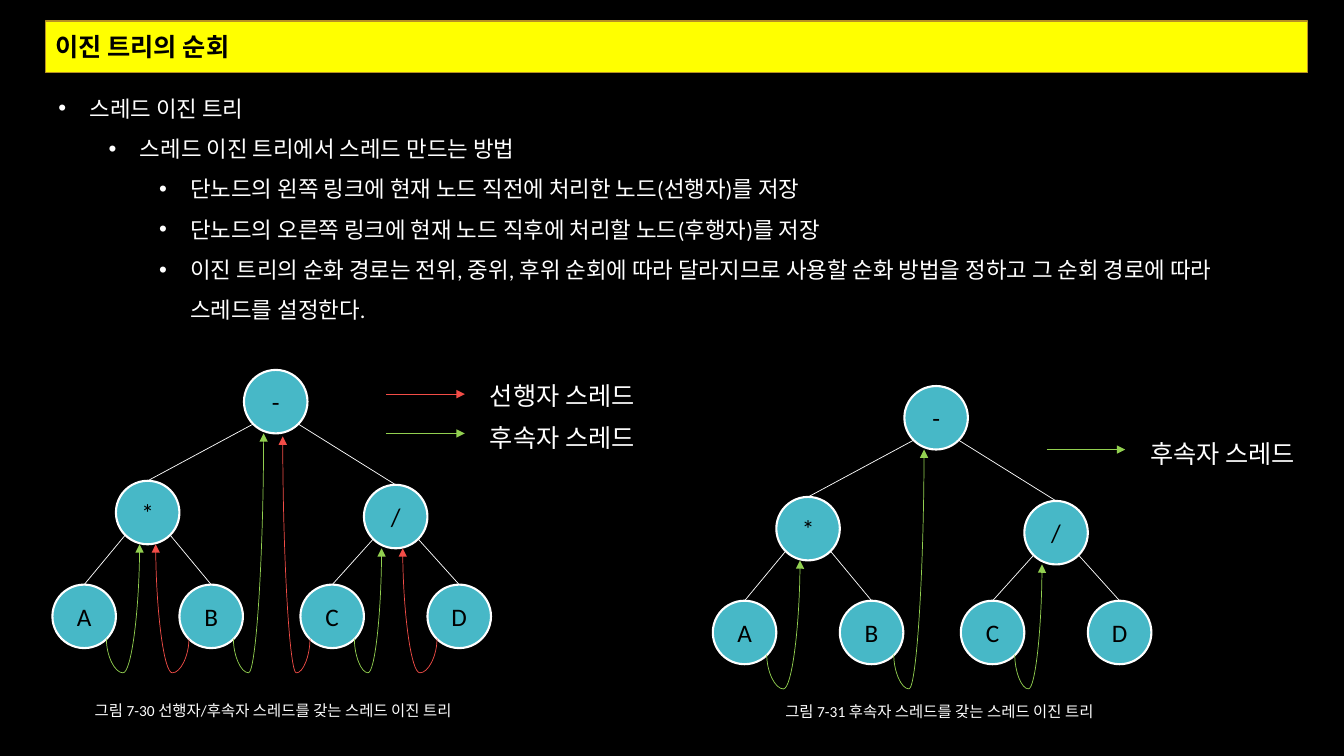
from lxml.etree import SubElement
from pptx import Presentation
from pptx.dml.color import RGBColor
from pptx.enum.shapes import MSO_CONNECTOR, MSO_SHAPE
from pptx.enum.text import MSO_ANCHOR, MSO_AUTO_SIZE, PP_ALIGN
from pptx.oxml.ns import qn
from pptx.util import Inches, Pt

BLACK, WHITE, YELLOW, GOLD = "000000", "FFFFFF", "FFFF00", "B79024"
TEAL, GREEN, RED = "47B8C7", "92D050", "F34D47"
FONT = "Calibri"

NODE = 0.63            # node diameter
DIAGONAL = 0.22        # centre to the 45 degree point of a node
THREAD_DIP = 0.34      # how far a thread swings below its leaf

# Node places relative to the tree's own corner
NODES = {
    "-": (1.9, 0), "*": (0.63, 1.1), "/": (3.09, 1.14),
    "A": (0, 2.13), "B": (1.26, 2.13), "C": (2.46, 2.13), "D": (3.72, 2.13),
}
# Parent, left child, right child
FAMILIES = [("-", "*", "/"), ("*", "A", "B"), ("/", "C", "D")]

# Leaf, ancestor, shift of the arrowhead from the ancestor's centre, gap below it
SUCCESSORS = [("A", "*", -0.08, 0), ("B", "-", -0.12, 0), ("C", "/", -0.14, 0)]
PREDECESSORS = [("B", "*", 0.08, 0), ("C", "-", 0.07, 0.03), ("D", "/", 0.07, 0)]

TITLE = "이진 트리의 순회"
OUTLINE = [
    (0, "스레드 이진 트리"),
    (1, "스레드 이진 트리에서 스레드 만드는 방법"),
    (2, "단노드의 왼쪽 링크에 현재 노드 직전에 처리한 노드(선행자)를 저장"),
    (2, "단노드의 오른쪽 링크에 현재 노드 직후에 처리할 노드(후행자)를 저장"),
    (2, "이진 트리의 순화 경로는 전위, 중위, 후위 순회에 따라 달라지므로 "
        "사용할 순화 방법을 정하고 그 순회 경로에 따라 스레드를 설정한다."),
]


def color(value):
    return RGBColor.from_string(value)


def write(para, text, size=18, ink=WHITE, bold=False, align=PP_ALIGN.LEFT):
    para.alignment = align
    span = para.add_run()
    span.text = text
    span.font.name = FONT
    span.font.size = Pt(size)
    span.font.bold = bold
    span.font.color.rgb = color(ink)


def paint(shape, fill, line, width=1):
    shape.fill.solid()
    shape.fill.fore_color.rgb = color(fill)
    shape.line.color.rgb = color(line)
    shape.line.width = Pt(width)


def add_block(page, kind, box, fill, line, width=1):
    shape = page.shapes.add_shape(kind, *map(Inches, box))
    shape.shadow.inherit = False
    paint(shape, fill, line, width)
    return shape


def add_label(page, text, box, size=18):
    label = page.shapes.add_textbox(*map(Inches, box))
    label.text_frame.word_wrap = True
    label.text_frame.auto_size = MSO_AUTO_SIZE.SHAPE_TO_FIT_TEXT
    write(label.text_frame.paragraphs[0], text, size=size)


def add_line(page, start, end, ink=WHITE, arrow=False, kind=MSO_CONNECTOR.STRAIGHT):
    line = page.shapes.add_connector(kind, *map(Inches, (*start, *end)))
    line.line.color.rgb = color(ink)
    line.line.width = Pt(0.5)
    properties = line._element.spPr
    if arrow:
        SubElement(properties.find(qn("a:ln")), qn("a:tailEnd"), type="triangle")
    SubElement(properties, qn("a:effectLst"))
    return line


def add_thread(page, start, end, ink):
    """Curve that dips below its start and rises to its end: a connector turned 90 degrees."""
    (x1, y1), (x2, y2) = start, end
    middle_x, middle_y = (x1 + x2) / 2, (y1 + y2) / 2
    rise, run = y1 - y2, x2 - x1
    thread = add_line(page, (middle_x + rise / 2, middle_y + run / 2),
                      (middle_x - rise / 2, middle_y - run / 2),
                      ink, arrow=True, kind=MSO_CONNECTOR.CURVE)
    properties = thread._element.spPr
    properties.find(qn("a:xfrm")).set("rot", "5400000")
    geometry = properties.find(qn("a:prstGeom"))
    guides = geometry.find(qn("a:avLst"))
    if guides is None:
        guides = SubElement(geometry, qn("a:avLst"))
    bend = round(-THREAD_DIP / rise * 100000)
    SubElement(guides, qn("a:gd"), name="adj1", fmla=f"val {bend}")


def add_title(page, box):
    title = page.shapes.title
    title.left, title.top, title.width, title.height = map(Inches, box)
    geometry = SubElement(title._element.spPr, qn("a:prstGeom"), prst="roundRect")
    SubElement(geometry, qn("a:avLst"))
    paint(title, YELLOW, GOLD)
    title.text_frame.vertical_anchor = MSO_ANCHOR.MIDDLE
    write(title.text_frame.paragraphs[0], TITLE, ink=BLACK, bold=True)


def add_outline(page, box):
    frame = add_block(page, MSO_SHAPE.RECTANGLE, box, BLACK, BLACK).text_frame
    frame.word_wrap = True
    frame.vertical_anchor = MSO_ANCHOR.TOP
    for index, (level, text) in enumerate(OUTLINE):
        para = frame.add_paragraph() if index else frame.paragraphs[0]
        para.level = level
        para.line_spacing = 1.5
        properties = para._p.get_or_add_pPr()
        properties.set("marL", str(Inches(0.31 + 0.5 * level)))
        properties.set("indent", str(Inches(-0.31)))
        SubElement(properties, qn("a:buFont"), typeface="Arial")
        SubElement(properties, qn("a:buChar"), char="•")
        write(para, text, size=16)


def add_tree(page, left, top, threads):
    """Tree with its threads and legend; threads holds (colour, links, legend text, legend row)."""
    centres = {name: (left + x + NODE / 2, top + y + NODE / 2)
               for name, (x, y) in NODES.items()}

    # Nodes
    for name, (x, y) in NODES.items():
        node = add_block(page, MSO_SHAPE.OVAL, (left + x, top + y, NODE, NODE),
                         TEAL, WHITE, 1.5)
        node.text_frame.vertical_anchor = MSO_ANCHOR.MIDDLE
        write(node.text_frame.paragraphs[0], name, ink=BLACK, align=PP_ALIGN.CENTER)

    # Branches
    for parent, *children in FAMILIES:
        x, y = centres[parent]
        for child, side in zip(children, (-1, 1)):
            child_x, child_y = centres[child]
            add_line(page, (x + side * DIAGONAL, y + DIAGONAL),
                     (child_x, child_y - NODE / 2))

    for ink, links, caption, row in threads:
        # Threads leave the leaf on the side facing their target
        for leaf, ancestor, shift, gap in links:
            leaf_x, leaf_y = centres[leaf]
            x, y = centres[ancestor]
            side = 1 if x > leaf_x else -1
            add_thread(page, (leaf_x + side * DIAGONAL, leaf_y + DIAGONAL),
                       (x + shift, y + NODE / 2 + gap), ink)
        # Legend
        arrow_y = top + 0.24 + 0.39 * row
        add_line(page, (left + 3.31, arrow_y), (left + 4.09, arrow_y), ink, arrow=True)
        add_label(page, caption, (left + 4.24, top + 0.05 + 0.42 * row, 1.81, 0.4))


def main():
    deck = Presentation()
    deck.slide_width, deck.slide_height = Inches(13.33), Inches(7.5)
    page = deck.slides.add_slide(deck.slide_layouts[5])
    page.background.fill.solid()
    page.background.fill.fore_color.rgb = color(BLACK)

    add_title(page, (0.45, 0.21, 12.52, 0.51))
    add_outline(page, (0.48, 0.76, 12.48, 6.46))

    successor = (GREEN, SUCCESSORS, "후속자 스레드", 1)
    predecessor = (RED, PREDECESSORS, "선행자 스레드", 0)
    add_tree(page, 0.52, 3.67, [successor, predecessor])
    add_tree(page, 7.07, 3.83, [successor])

    # Figure captions
    add_label(page, "그림 7-30 선행자/후속자 스레드를 갖는 스레드 이진 트리",
              (0.84, 6.91, 4.09, 0.29), size=11)
    add_label(page, "그림 7-31 후속자 스레드를 갖는 스레드 이진 트리",
              (7.69, 6.92, 3.54, 0.29), size=11)

    deck.save("out.pptx")


if __name__ == "__main__":
    main()
